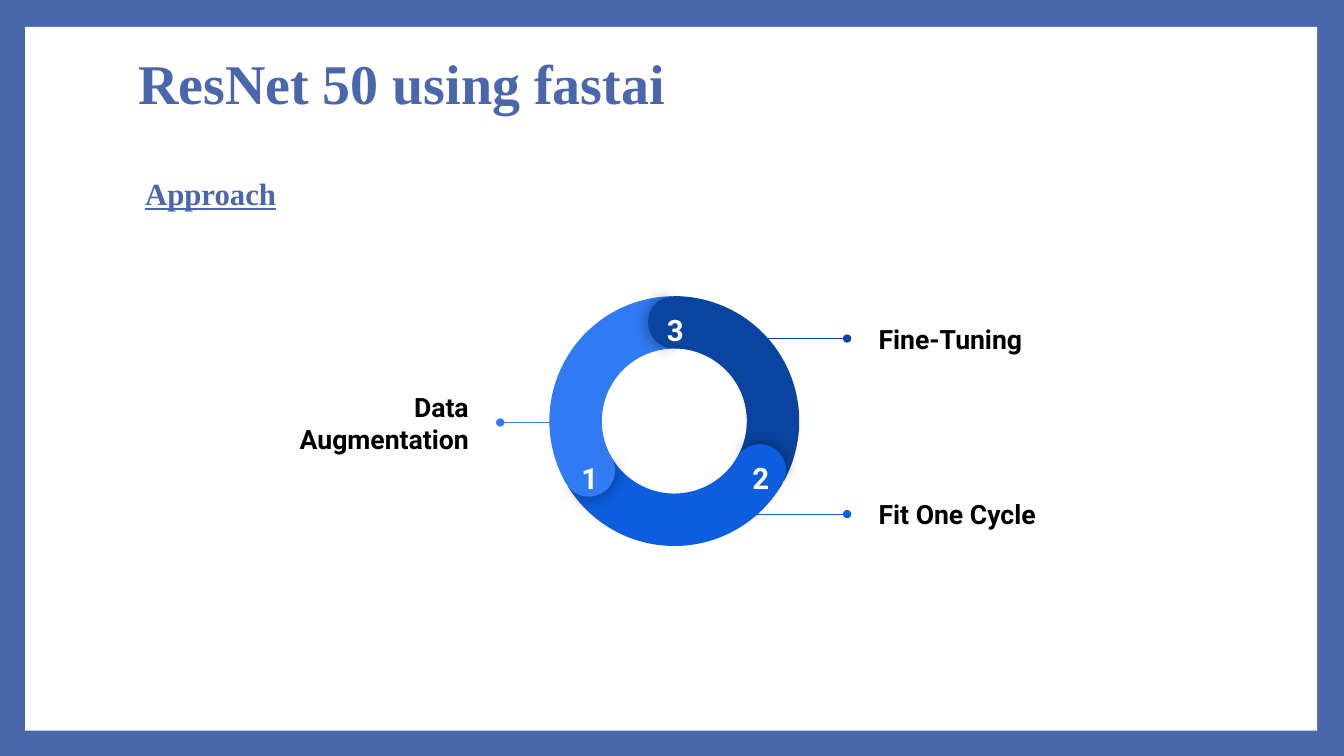
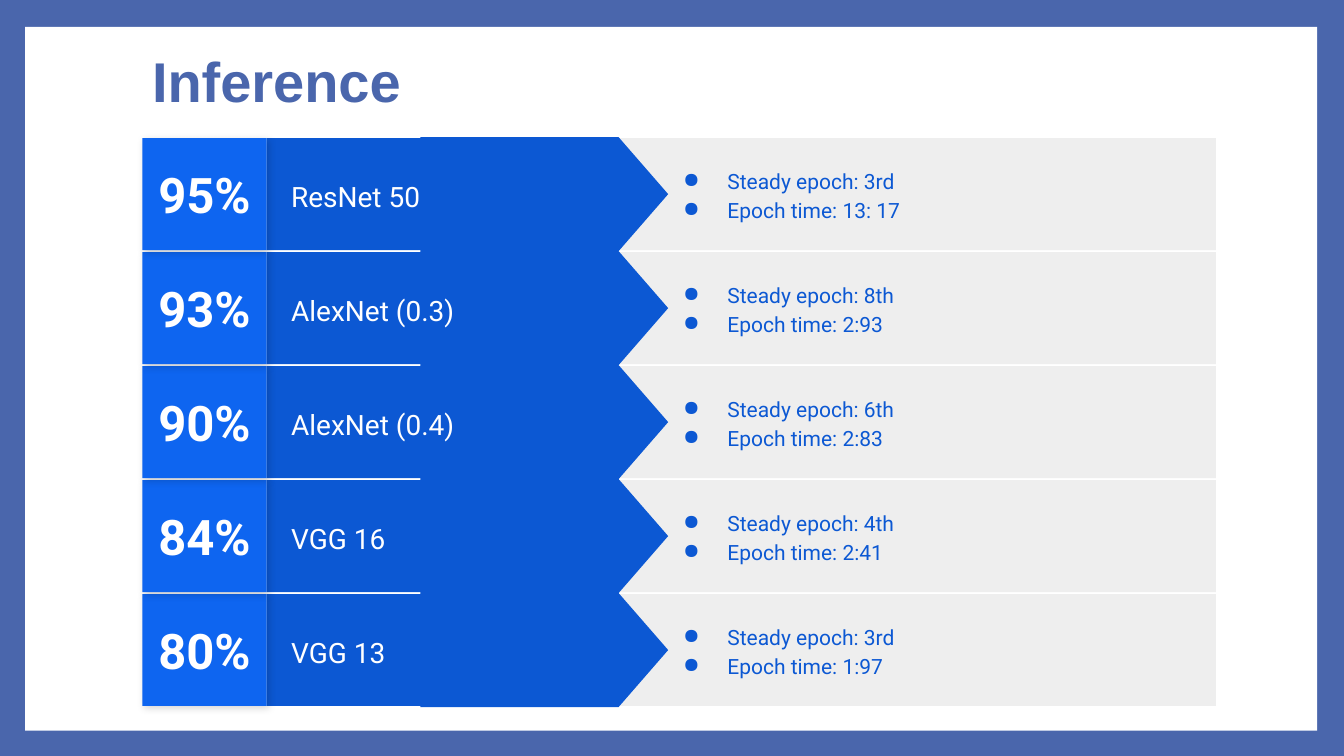
from dataclasses import dataclass
from math import cos, radians, sin

from lxml.etree import SubElement
from pptx import Presentation
from pptx.dml.color import RGBColor
from pptx.enum.shapes import MSO_CONNECTOR as Connector, MSO_SHAPE as Preset
from pptx.enum.text import MSO_ANCHOR as Anchor, PP_ALIGN as Align
from pptx.oxml.ns import qn
from pptx.util import Inches, Pt

COLUMNS, ROWS = 160, 90
CELL = Inches(7.5) / ROWS


@dataclass(frozen=True)
class Theme:
    frame: str = "4A66AC"
    white: str = "FFFFFF"
    black: str = "000000"
    gray: str = "EEEEEE"
    light: str = "307BF3"
    medium: str = "0D5DDF"
    dark: str = "0944A1"
    band: str = "0C58D3"
    score: str = "0E65F0"
    serif: str = "Times New Roman"
    sans: str = "Arial"
    body: str = "Roboto"
    title_size: float = 40
    heading_size: float = 22
    label_size: float = 19
    number_size: float = 21
    score_size: float = 35
    name_size: float = 20
    detail_size: float = 15
    inset: float = 1.6


THEME = Theme()


@dataclass(frozen=True)
class Box:
    left: float
    top: float
    width: float
    height: float

    def inner(self, left, top, width, height):
        return Box(self.left + left, self.top + top, width, height)

    @property
    def center(self):
        return self.left + self.width / 2, self.top + self.height / 2

    @property
    def lengths(self):
        return [cells(value) for value in (self.left, self.top, self.width, self.height)]


def cells(value):
    return int(value * CELL)


def square(x, y, size):
    return Box(x - size / 2, y - size / 2, size, size)


def color(value):
    return RGBColor.from_string(value)


def add_shadow(shape, alpha, blur, distance=0, angle=0):
    effects = shape._element.spPr.find(qn("a:effectLst"))
    shadow = SubElement(effects, qn("a:outerShdw"), blurRad=str(Pt(blur)),
                        dist=str(Pt(distance)), dir=str(angle * 60000),
                        algn="ctr", rotWithShape="0")
    tint = SubElement(shadow, qn("a:srgbClr"), val=THEME.black)
    SubElement(tint, qn("a:alpha"), val=str(alpha * 1000))


def add_figure(slide, preset, box, fill, rotation=0, adjustments=()):
    shape = slide.shapes.add_shape(preset, *box.lengths)
    shape.shadow.inherit = False
    shape.fill.solid()
    shape.fill.fore_color.rgb = color(fill)
    shape.line.fill.background()
    shape.rotation = rotation % 360
    for index, value in enumerate(adjustments):
        shape.adjustments[index] = value
    return shape


def write(shape, lines, size, ink, font=THEME.body, bold=False, align=Align.LEFT,
          anchor=Anchor.MIDDLE, spacing=None, inset=THEME.inset):
    frame = shape.text_frame
    frame.word_wrap = True
    frame.vertical_anchor = anchor
    frame.margin_left = frame.margin_right = cells(inset)
    frame.margin_top = frame.margin_bottom = cells(inset)
    frame.text = "\n".join(lines)
    for paragraph in frame.paragraphs:
        paragraph.alignment = align
        paragraph.line_spacing = spacing
        paragraph.font.name = font
        paragraph.font.size = Pt(size)
        paragraph.font.bold = bold
        paragraph.font.color.rgb = color(ink)
    return frame


def add_text(slide, box, lines, size, ink, **style):
    return write(slide.shapes.add_textbox(*box.lengths), lines, size, ink, **style)


def add_bullets(frame):
    for paragraph in frame.paragraphs:
        properties = paragraph._p.get_or_add_pPr()
        properties.set("marL", str(Inches(0.67)))
        properties.set("indent", str(Inches(-0.44)))
        bullet_color = SubElement(properties, qn("a:buClr"))
        SubElement(bullet_color, qn("a:srgbClr"), val=THEME.band)
        SubElement(properties, qn("a:buChar"), char="●")


def add_leader(slide, start, end, y, ink):
    line = slide.shapes.add_connector(
        Connector.STRAIGHT, cells(start), cells(y), cells(end), cells(y))
    line.line.color.rgb = color(ink)
    line.line.width = Pt(0.75)
    SubElement(line.line._get_or_add_ln(), qn("a:tailEnd"), type="oval")
    SubElement(line._element.spPr, qn("a:effectLst"))


def add_titled_slide(presentation, text, box, font):
    slide = presentation.slides.add_slide(presentation.slide_layouts[5])
    title = slide.shapes.title
    title.left, title.top, title.width, title.height = box.lengths
    write(title, [text], THEME.title_size, THEME.frame, font=font, bold=True,
          spacing=0.9, inset=1.2)
    return slide


def set_frame(presentation, slide):
    background = presentation.slide_master.background.fill
    background.solid()
    background.fore_color.rgb = color(THEME.frame)
    panel = add_figure(slide, Preset.RECTANGLE, Box(3, 3.2, 153.8, 83.8), THEME.white)
    slide.slide_layout.shapes._spTree.insert(2, panel._element)


def add_label(slide, box, text, ink, on_left, reach):
    add_text(slide, box, [text], THEME.label_size, THEME.black, bold=True,
             align=Align.RIGHT if on_left else Align.LEFT)
    direction = 1 if on_left else -1
    edge = box.left + box.width if on_left else box.left
    dot = edge + direction * 2.15
    add_leader(slide, dot + direction * reach, dot, box.center[1], ink)


def add_ring(slide, box, segments):
    thickness = 0.21
    cap_size = box.width * thickness
    middle = (box.width - cap_size) / 2
    x, y = box.center
    for _, start, ink in reversed(segments):
        add_figure(slide, Preset.BLOCK_ARC, box, ink, start + 150,
                   (126.23, 197.2, thickness))
    for number, start, ink in segments:
        cap = square(x + middle * cos(radians(start)),
                     y + middle * sin(radians(start)), cap_size)
        shaded = add_figure(slide, Preset.PIE, cap, ink, start + 90.6, (61.9, 149.96))
        add_shadow(shaded, 43, 11.2)
        add_figure(slide, Preset.PIE, cap, ink, start + 270, (40.28, 171.84))
        add_text(slide, cap.inner(0.5, 0.6, 5.5, 2.9), [number], THEME.number_size,
                 THEME.white, bold=True, align=Align.CENTER, anchor=Anchor.TOP)


def build_approach(presentation):
    slide = add_titled_slide(presentation, "ResNet 50 using fastai",
                             Box(15.25, 3.7, 129.6, 13.2), THEME.serif)
    set_frame(presentation, slide)
    heading = add_text(slide, Box(16.1, 19.6, 128.6, 6), ["Approach"],
                       THEME.heading_size, THEME.frame, font=THEME.serif, bold=True,
                       anchor=Anchor.TOP, inset=1.2)
    heading.paragraphs[0].font.underline = True
    labels = [
        ("Data Augmentation", 29.2, 43.4, THEME.light, True, 6.7),
        ("Fine-Tuning", 103, 33.4, THEME.dark, False, 13.8),
        ("Fit One Cycle", 103, 54.3, THEME.medium, False, 13.8),
    ]
    for text, left, top, ink, on_left, reach in labels:
        add_label(slide, Box(left, top, 28.2, 13.8), text, ink, on_left, reach)
    add_ring(slide, Box(65.4, 35.25, 29.75, 29.75), [
        ("1", 150, THEME.light), ("2", 30, THEME.medium), ("3", 270, THEME.dark)])


def add_result(slide, box, pitch, score, name, details):
    height = box.height
    add_figure(slide, Preset.RECTANGLE, box.inner(45.8, 0, 82, height), THEME.gray)
    add_figure(slide, Preset.RECTANGLE, box.inner(14.8, 0, 39.5, height), THEME.band)
    length = 29.5
    arrow = box.inner(33.1 + (length - pitch) / 2, (height - length) / 2, pitch, length)
    add_figure(slide, Preset.FLOWCHART_OFFPAGE_CONNECTOR, arrow, THEME.band, 270)
    add_text(slide, box.inner(16.1, 0, 41.6, height), [name], THEME.name_size,
             THEME.white, spacing=1.15)
    tile = add_figure(slide, Preset.RECTANGLE, box.inner(0, 0, 14.8, height), THEME.score)
    add_shadow(tile, 17, 5.6, 2.2, 45)
    write(tile, [score], THEME.score_size, THEME.white, bold=True, align=Align.CENTER)
    add_bullets(add_text(slide, box.inner(60, 0, 63.7, height), details,
                         THEME.detail_size, THEME.band, spacing=1.15))


def add_results(slide, box, results):
    gap = 0.24
    height = (box.height - gap * (len(results) - 1)) / len(results)
    pitch = height + gap
    for index, (score, name, epoch, time) in reversed(list(enumerate(results))):
        row = box.inner(0, index * pitch, box.width, height)
        details = [f"Steady epoch: {epoch}", f"Epoch time: {time}"]
        add_result(slide, row, pitch, score, name, details)


def build_inference(presentation):
    slide = add_titled_slide(presentation, "Inference",
                             Box(16.9, 3.7, 129.6, 12.7), THEME.sans)
    add_results(slide, Box(16.95, 16.45, 127.8, 67.6), [
        ("95%", "ResNet 50", "3rd", "13: 17"),
        ("93%", "AlexNet (0.3)", "8th", "2:93"),
        ("90%", "AlexNet (0.4)", "6th", "2:83"),
        ("84%", "VGG 16", "4th", "2:41"),
        ("80%", "VGG 13", "3rd", "1:97"),
    ])


def main():
    presentation = Presentation()
    presentation.slide_width = cells(COLUMNS)
    presentation.slide_height = cells(ROWS)
    build_approach(presentation)
    build_inference(presentation)
    presentation.save("out.pptx")


if __name__ == "__main__":
    main()
